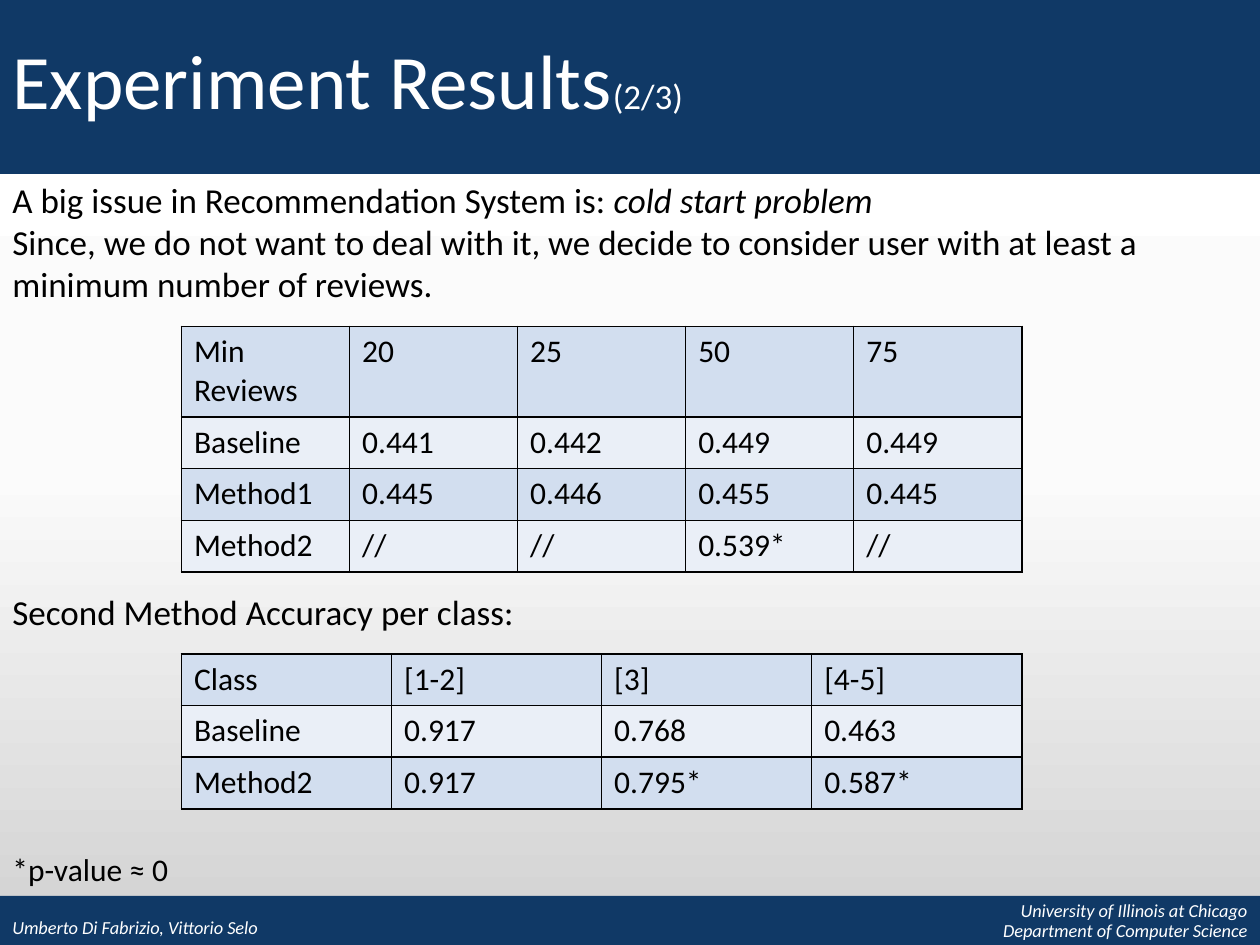
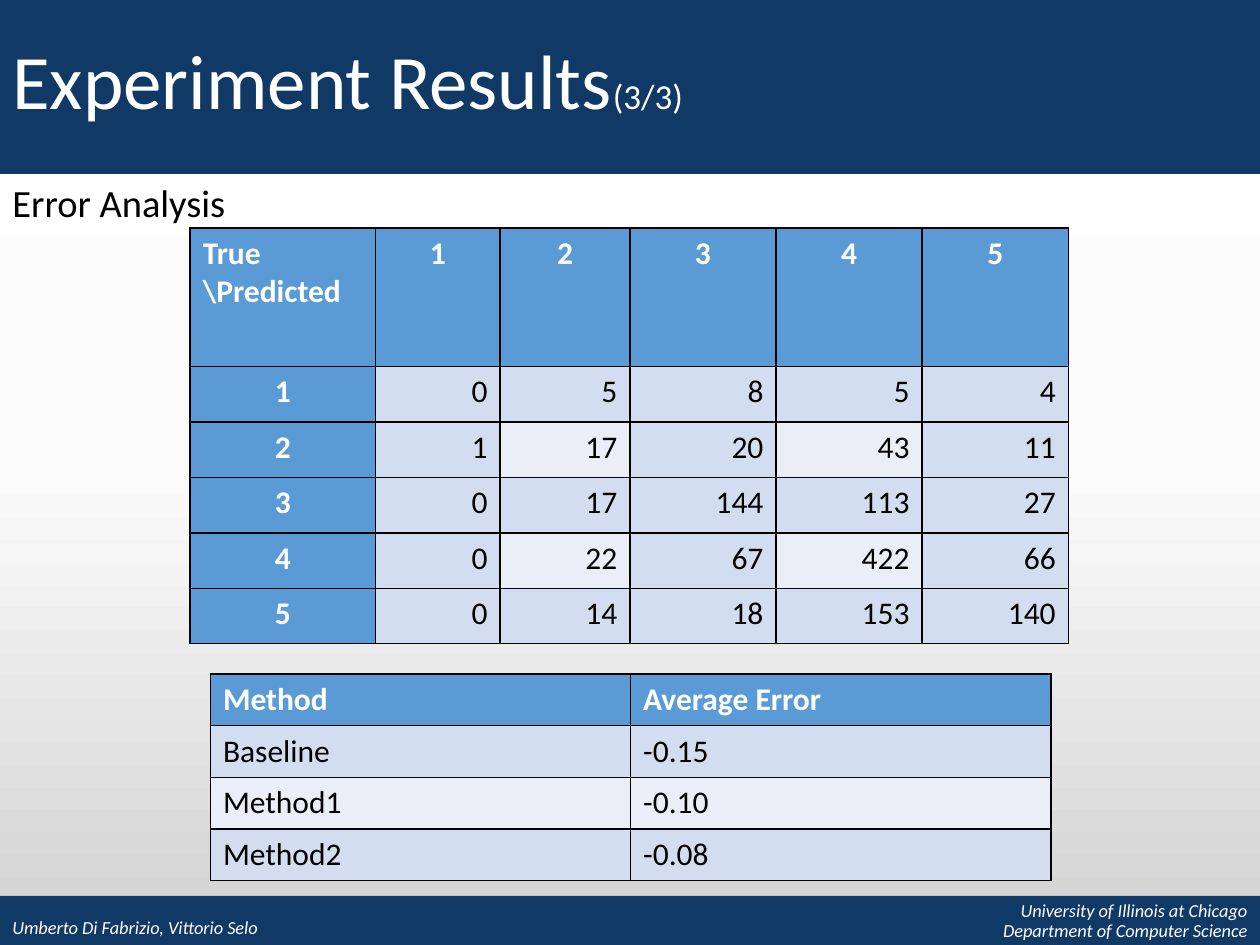
from copy import deepcopy

from lxml import etree
from pptx import Presentation
from pptx.dml.color import RGBColor
from pptx.enum.shapes import MSO_SHAPE
from pptx.enum.text import MSO_ANCHOR, MSO_AUTO_SIZE, PP_ALIGN
from pptx.oxml.ns import qn
from pptx.util import Inches, Pt

NAVY = RGBColor(0x10, 0x39, 0x66)
WHITE = RGBColor(0xFF, 0xFF, 0xFF)
BLACK = RGBColor(0, 0, 0)
OFF_WHITE = RGBColor(0xFB, 0xFB, 0xFB)
GREY = RGBColor(0xD1, 0xD1, 0xD1)
HEADER_BLUE = RGBColor(0x5B, 0x9B, 0xD5)
BAND_DARK = RGBColor(0xD2, 0xDE, 0xEF)
BAND_LIGHT = RGBColor(0xEA, 0xEF, 0xF7)

RECTANGLE = MSO_SHAPE.RECTANGLE
TOP, BOTTOM = MSO_ANCHOR.TOP, MSO_ANCHOR.BOTTOM
LEFT, CENTER, RIGHT = PP_ALIGN.LEFT, PP_ALIGN.CENTER, PP_ALIGN.RIGHT
GROW = MSO_AUTO_SIZE.SHAPE_TO_FIT_TEXT

FONT = "Calibri"
SLIDE_WIDTH, SLIDE_HEIGHT = 10, 7.5
HEADER_BOX = (0, 0, SLIDE_WIDTH, 1.38)
FOOTER_BOX = (0, 7.11, SLIDE_WIDTH, 0.39)
ROW_HEIGHT = 0.41


def style_font(font, size, color, bold=False, italic=False):
    """Apply the deck font with the given look."""
    font.name, font.size = FONT, Pt(size)
    font.bold, font.italic = bold, italic
    font.color.rgb = color


def add_text(page, box, lines, size, color=BLACK, italic=False, align=LEFT,
             anchor=TOP, spacing=None, wrap=True, grow=False):
    """Add a text box with one paragraph for each line."""
    frame = page.shapes.add_textbox(*map(Inches, box)).text_frame
    frame.text = "\n".join(lines)
    frame.word_wrap, frame.vertical_anchor = wrap, anchor
    if grow:
        frame.auto_size = GROW
    for para in frame.paragraphs:
        para.alignment, para.line_spacing = align, spacing
        for span in para.runs:
            style_font(span.font, size, color, italic=italic)
    return frame


def add_label(page, box, text, size):
    """Add a one-line label that fits its text."""
    add_text(page, box, [text], size, wrap=False, grow=True)


def add_span(para, text, size, color, italic=False):
    """Append a differently styled run to a paragraph."""
    span = para.add_run()
    span.text = text
    style_font(span.font, size, color, italic=italic)


def add_band(page, box):
    """Add a navy band."""
    band = page.shapes.add_shape(RECTANGLE, *map(Inches, box))
    band.shadow.inherit = False
    band.fill.solid()
    band.fill.fore_color.rgb = NAVY
    band.line.fill.background()


def paint_background(page):
    """Fill the page with a vertical white to grey gradient."""
    fill = page.background.fill
    fill.gradient()
    fill.gradient_angle = 270
    stop_list = next(page.element.iter(qn("a:gsLst")))
    stop_list.append(deepcopy(stop_list[-1]))
    for stop, position, color in zip(fill.gradient_stops, (0, 0.5, 1),
                                     (WHITE, OFF_WHITE, GREY)):
        stop.position, stop.color.rgb = position, color


def add_header(page, box, part):
    """Add the title band with the part number after the title."""
    left, top, width, height = box
    add_band(page, box)
    frame = add_text(page, (left, top + 0.29, width, height - 0.3),
                     ["Experiment Results"], 44, WHITE, spacing=0.9)
    add_span(frame.paragraphs[0], part, 20, WHITE)


def add_footer(page, box):
    """Add the footer band with authors and affiliation."""
    left, top, width, height = box
    add_band(page, box)
    add_text(page, (left, top, 3.44, height), ["Umberto Di Fabrizio, Vittorio Selo"],
             10.5, WHITE, italic=True, anchor=BOTTOM, spacing=0.9)
    add_text(page, (left + width - 4.21, top, 4.21, height),
             ["University of Illinois at Chicago", "Department of Computer Science"],
             10.5, WHITE, italic=True, align=RIGHT, spacing=0.9)


def draw_borders(cell):
    """Give a cell thin black borders on all sides."""
    properties = cell._tc.get_or_add_tcPr()
    for side in ("a:lnL", "a:lnR", "a:lnT", "a:lnB"):
        line = etree.SubElement(properties, qn(side), w=str(Pt(1)))
        solid = etree.SubElement(line, qn("a:solidFill"))
        etree.SubElement(solid, qn("a:srgbClr"), val=str(BLACK))


def plain_look(row, column):
    """Return fill, bold and alignment for a table banded from its first row."""
    return (BAND_LIGHT if row % 2 else BAND_DARK), False, LEFT


def headed_look(row, column):
    """Return fill, bold and alignment for a table with a header row."""
    if row == 0:
        return HEADER_BLUE, True, LEFT
    return (BAND_DARK if row % 2 else BAND_LIGHT), False, LEFT


def matrix_look(row, column):
    """Return fill, bold and alignment for the confusion matrix."""
    if row == 0 or column == 0:
        return HEADER_BLUE, True, CENTER if row or column else LEFT
    both_even = row % 2 == 0 and column % 2 == 0
    return (BAND_LIGHT if both_even else BAND_DARK), False, RIGHT


def add_grid(page, origin, widths, heights, rows, look):
    """Add a bordered table whose cells are styled by a look rule."""
    size = (sum(widths), sum(heights))
    table = page.shapes.add_table(len(rows), len(widths),
                                  *map(Inches, origin + size)).table
    table.first_row = table.horz_banding = False
    for column, width in zip(table.columns, widths):
        column.width = Inches(width)
    for row, height in zip(table.rows, heights):
        row.height = Inches(height)
    for row_index, values in enumerate(rows):
        for column_index, value in enumerate(values):
            cell = table.cell(row_index, column_index)
            fill, bold, align = look(row_index, column_index)
            draw_borders(cell)
            cell.fill.solid()
            cell.fill.fore_color.rgb = fill
            cell.text = value
            para = cell.text_frame.paragraphs[0]
            para.alignment = align
            style_font(para.runs[0].font, 18, WHITE if bold else BLACK, bold)


def add_page(deck, part):
    """Add a page with the shared background, header and footer."""
    page = deck.slides.add_slide(deck.slide_layouts[6])
    paint_background(page)
    add_header(page, HEADER_BOX, part)
    add_footer(page, FOOTER_BOX)
    return page


def build_accuracy_page(deck):
    """Build the page on cold start and accuracy per class."""
    page = add_page(deck, "(2/3)")
    intro = add_text(page, (0, 1.37, SLIDE_WIDTH, 1.11), [
        "A big issue in Recommendation System is: ",
        "Since, we do not want to deal with it, we decide to consider user "
        "with at least a minimum number of reviews."], 20, grow=True)
    add_span(intro.paragraphs[0], "cold start problem", 20, BLACK, italic=True)
    add_grid(page, (1.44, 2.59), [6.67 / 5] * 5, [0.72] + [ROW_HEIGHT] * 3, [
        ("Min Reviews", "20", "25", "50", "75"),
        ("Baseline", "0.441", "0.442", "0.449", "0.449"),
        ("Method1", "0.445", "0.446", "0.455", "0.445"),
        ("Method2", "//", "//", "0.539*", "//")], plain_look)
    add_label(page, (0, 4.64, 4.22, 0.44), "Second Method Accuracy per class:", 20)
    add_grid(page, (1.44, 5.19), [6.67 / 4] * 4, [ROW_HEIGHT] * 3, [
        ("Class", "[1-2]", "[3]", "[4-5]"),
        ("Baseline", "0.917", "0.768", "0.463"),
        ("Method2", "0.917", "0.795*", "0.587*")], plain_look)
    add_label(page, (0, 6.7, 1.51, 0.4), "*p-value ≈ 0", 18)


def build_error_page(deck):
    """Build the page on error analysis."""
    page = add_page(deck, "(3/3)")
    add_label(page, (0, 1.37, 1.91, 0.47), "Error Analysis", 22)
    add_grid(page, (1.51, 1.81), [1.47, 0.99, 1.03] + [1.16] * 3,
             [1.1] + [0.44] * 5, [
        ("True \\Predicted", "1", "2", "3", "4", "5"),
        ("1", "0", "5", "8", "5", "4"),
        ("2", "1", "17", "20", "43", "11"),
        ("3", "0", "17", "144", "113", "27"),
        ("4", "0", "22", "67", "422", "66"),
        ("5", "0", "14", "18", "153", "140")], matrix_look)
    add_grid(page, (1.67, 5.35), [6.67 / 2] * 2, [ROW_HEIGHT] * 4, [
        ("Method", "Average Error"),
        ("Baseline", "-0.15"),
        ("Method1", "-0.10"),
        ("Method2", "-0.08")], headed_look)


def main():
    """Build and save the deck."""
    deck = Presentation()
    deck.slide_width, deck.slide_height = Inches(SLIDE_WIDTH), Inches(SLIDE_HEIGHT)
    build_accuracy_page(deck)
    build_error_page(deck)
    deck.save("out.pptx")


if __name__ == "__main__":
    main()
